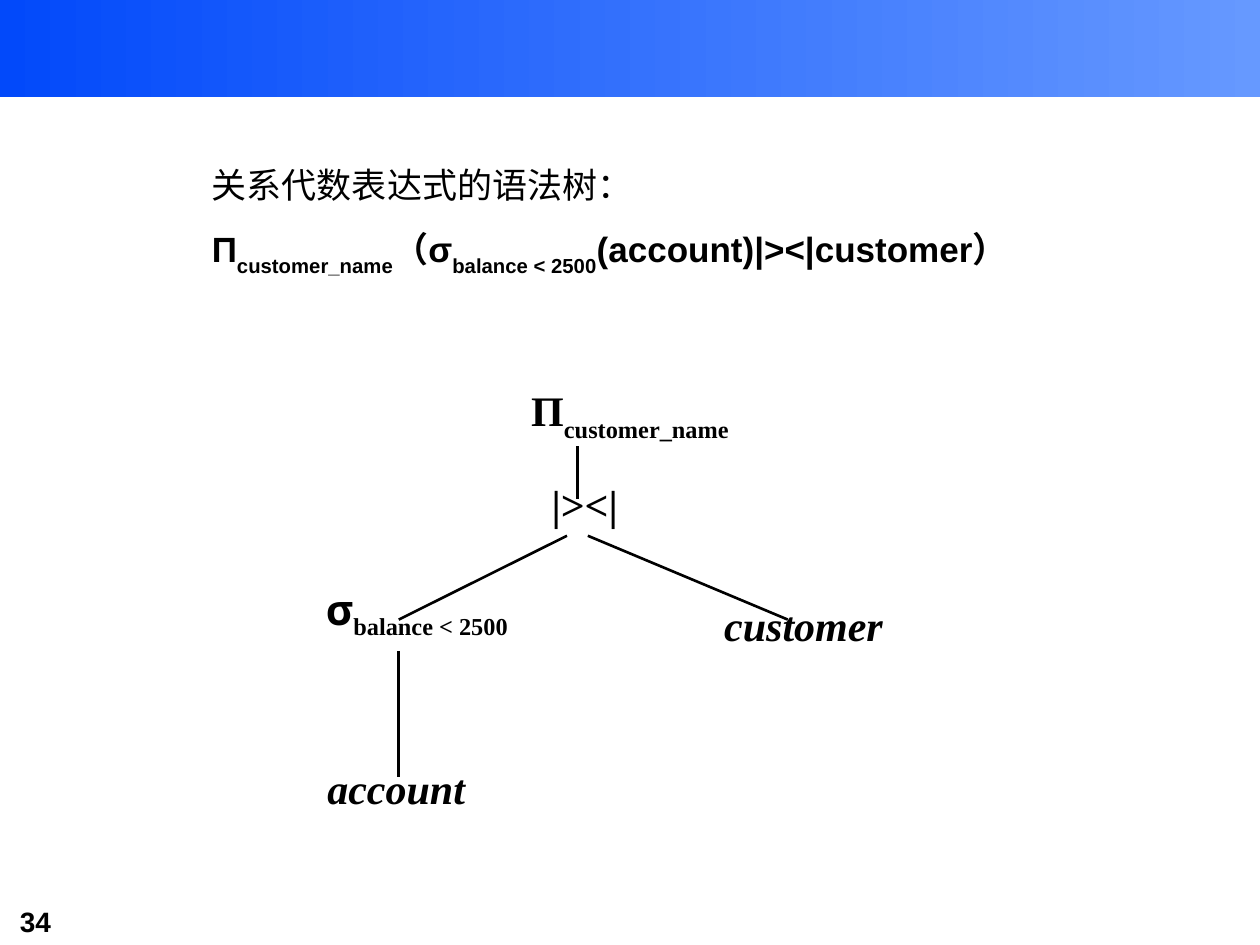
from pptx import Presentation
from pptx.dml.color import RGBColor as Rgb
from pptx.enum.shapes import MSO_CONNECTOR as Conn, MSO_SHAPE as Shape
from pptx.enum.text import MSO_AUTO_SIZE as Auto
from pptx.oxml.ns import qn
from pptx.util import Cm, Pt
from lxml.etree import SubElement

COLORS = {"text": "000000", "line": "000000", "start": "0249FA", "end": "6699FF"}
SERIF = "Times New Roman"

deck = Presentation()
deck.slide_width, deck.slide_height = Cm(25.4), Cm(19.05)
slide = deck.slides.add_slide(deck.slide_layouts[6])


def add_text(paras, *, at, size=24, font=SERIF, bold=True, italic=False, gap=0):
    """Each paragraph is a list of (text, format) runs."""
    box = slide.shapes.add_textbox(*[Cm(v) for v in at])
    frame = box.text_frame
    frame.word_wrap = True
    frame.auto_size = Auto.SHAPE_TO_FIT_TEXT
    for i, runs in enumerate(paras):
        para = frame.add_paragraph() if i else frame.paragraphs[0]
        if i:
            para.space_before = Pt(gap)
        for text, form in runs:
            run = para.add_run()
            run.text = text
            run.font.size = Pt(size)
            run.font.name = form.get("font", font)
            run.font.bold = form.get("bold", bold)
            run.font.italic = italic
            run.font.color.rgb = Rgb.from_string(COLORS["text"])
            if "base" in form:
                run.font._element.set("baseline", str(form["base"] * 1000))


# Header band
band = slide.shapes.add_shape(Shape.RECTANGLE, 0, 0, deck.slide_width, Cm(1.96))
band.shadow.inherit = False
band.line.fill.background()
band.fill.gradient()
band.fill.gradient_angle = 0
for stop, name, pos in zip(band.fill.gradient_stops, ("start", "end"), (0, 1)):
    stop.color.rgb = Rgb.from_string(COLORS[name])
    stop.position = pos

# Page number
add_text([[("34", {})]], at=(0.15, 18.11, 3.1, 0.94), size=16, font="Arial")

# Tree nodes, each wide enough for one line
sub = {"base": -30}
add_text([[("П", {}), ("customer_name", sub)]], at=(10.46, 7.62, 4.8, 1.45))
add_text([[("σ", {"font": "Montserrat"}), ("balance < 2500", {"base": -25})]],
         at=(6.32, 11.63, 4.6, 2.57))
add_text([[("|><|", {})]], at=(10.87, 9.53, 2.2, 1.27))
for name, at in (("customer", (14.35, 11.96, 4, 1.27)),
                 ("account", (6.35, 15.24, 3.6, 1.27))):
    add_text([[(name, {})]], at=at, italic=True)

# Tree branches
for ends in ((11.64, 9, 11.64, 10.05), (8.04, 12.49, 11.43, 10.8),
             (11.85, 10.8, 15.88, 12.49), (8.04, 13.12, 8.04, 15.66)):
    branch = slide.shapes.add_connector(Conn.STRAIGHT, *[Cm(v) for v in ends])
    branch.line.color.rgb = Rgb.from_string(COLORS["line"])
    branch.line.width = Pt(1.5)
    SubElement(branch._element.spPr, qn("a:effectLst"))

# Title and expression
add_text([[("关系代数表达式的语法树：", {"bold": False})],
          [("П", {}), ("customer_name", sub), ("（σ", {}),
           ("balance < 2500", sub), ("(account)|><|customer）", {})]],
         at=(4.02, 3.18, 19.69, 2.54), size=20, font="Arial", gap=12.5)

deck.save("out.pptx")
